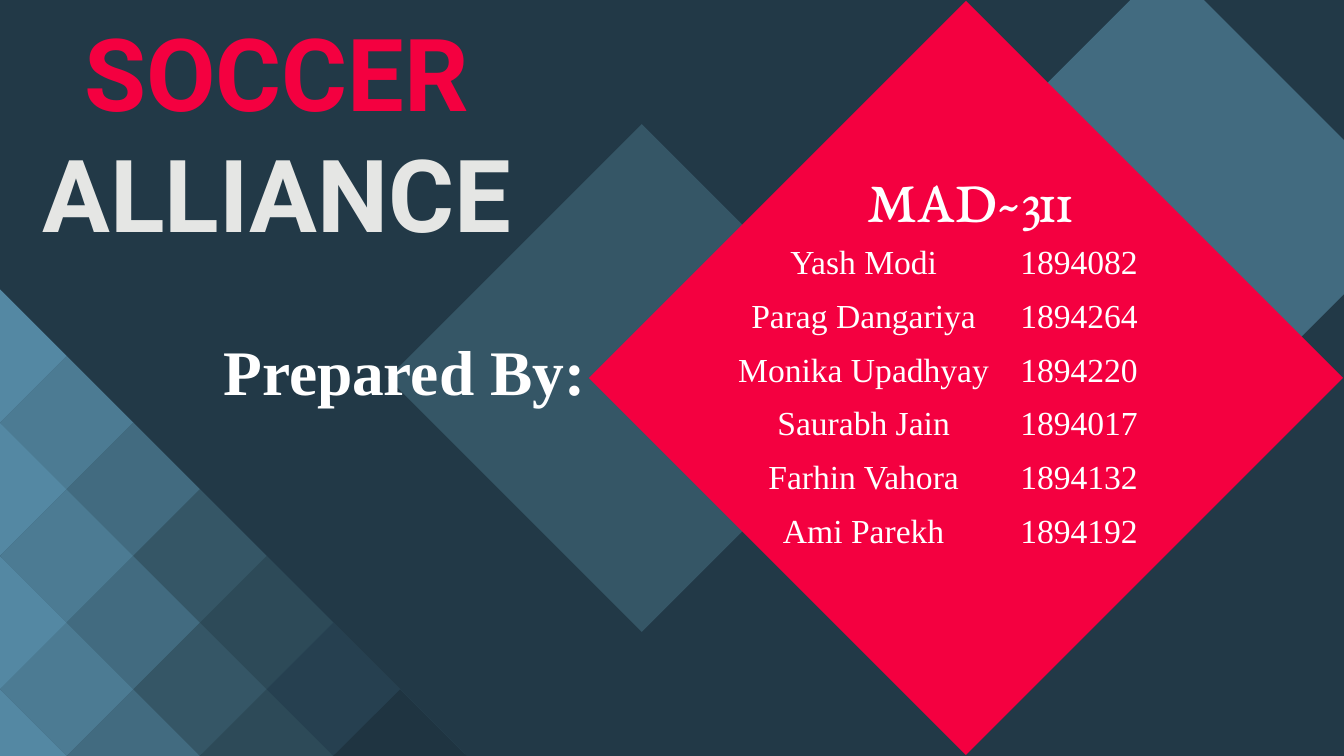
from pptx import Presentation
from pptx.dml.color import RGBColor
from pptx.enum.shapes import MSO_SHAPE
from pptx.enum.text import MSO_ANCHOR, PP_ALIGN
from pptx.oxml.ns import qn
from pptx.util import Pt

NAVY = RGBColor(0x22, 0x39, 0x47)
TEAL = RGBColor(0x42, 0x6B, 0x80)
SLATE = RGBColor(0x35, 0x56, 0x66)
RED = RGBColor(0xF4, 0x00, 0x40)
PALE = RGBColor(0xE5, 0xE6, 0xE4)
WHITE = RGBColor(0xFF, 0xFF, 0xFF)
# Mosaic colours from the left edge to the right
MOSAIC = [
    RGBColor(0x54, 0x88, 0xA3), RGBColor(0x4C, 0x7B, 0x93), TEAL, SLATE,
    RGBColor(0x2D, 0x4A, 0x58), RGBColor(0x26, 0x40, 0x50),
    RGBColor(0x1F, 0x34, 0x41),
]
SERIF = "Times New Roman"
NO_GRID_STYLE = "{2D5ABB26-0587-4C30-8999-92F81FD0307C}"

MEMBERS = [
    ("Yash Modi", "1894082"),
    ("Parag Dangariya", "1894264"),
    ("Monika Upadhyay", "1894220"),
    ("Saurabh Jain", "1894017"),
    ("Farhin Vahora", "1894132"),
    ("Ami Parekh", "1894192"),
]


def add_centered(slide, kind, center_x, center_y, width, height, color, rotation=0):
    shape = slide.shapes.add_shape(
        kind, Pt(center_x - width / 2), Pt(center_y - height / 2), Pt(width), Pt(height))
    shape.rotation = rotation
    shape.shadow.inherit = False
    shape.fill.solid()
    shape.fill.fore_color.rgb = color
    shape.line.fill.background()


def style_run(run, size, font_name, color, bold=False):
    run.font.size = Pt(size)
    run.font.name = font_name
    run.font.bold = bold
    run.font.color.rgb = color


def add_text(slide, left, top, width, height, parts, size, font_name, anchor, bold=False):
    text_frame = slide.shapes.add_textbox(Pt(left), Pt(top), Pt(width), Pt(height)).text_frame
    text_frame.word_wrap = True
    text_frame.vertical_anchor = anchor
    text_frame.margin_left = text_frame.margin_right = Pt(7.2)
    text_frame.margin_top = text_frame.margin_bottom = Pt(7.2)
    paragraph = text_frame.paragraphs[0]
    paragraph.alignment = PP_ALIGN.CENTER
    for text, color in parts:
        run = paragraph.add_run()
        run.text = text
        style_run(run, size, font_name, color, bold)


def add_large_diamonds(slide):
    for center_x, center_y, size, color in [
        (625.3, 116.3, 272, TEAL),
        (343.8, 202.5, 272, SLATE),
        (517.5, 202.5, 404, RED),
    ]:
        add_centered(slide, MSO_SHAPE.DIAMOND, center_x, center_y, size, size, color)


def add_mosaic(slide, left, bottom, size):
    """Fill a right triangle with diamonds, cut to half along its two edges."""
    last = len(MOSAIC) - 1
    half = size / (last + 1)
    # Backing triangle
    add_centered(slide, MSO_SHAPE.RIGHT_TRIANGLE, left + size / 2, bottom - size / 2,
                 size - 2, size - 2, SLATE)
    for column, color in enumerate(MOSAIC):
        for level in range(column % 2, last - column + 1, 2):
            x, y = left + column * half, bottom - level * half
            if column == 0 and level == 0:
                add_centered(slide, MSO_SHAPE.RIGHT_TRIANGLE, x + half / 2, y - half / 2,
                             half, half, color)
            elif column == 0:
                add_centered(slide, MSO_SHAPE.ISOSCELES_TRIANGLE, x + half / 2, y,
                             2 * half, half, color, 90)
            elif level == 0:
                add_centered(slide, MSO_SHAPE.ISOSCELES_TRIANGLE, x, y - half / 2,
                             2 * half, half, color)
            else:
                add_centered(slide, MSO_SHAPE.DIAMOND, x, y, 2 * half, 2 * half, color)


def add_member_table(slide, left, top, width, height):
    table = slide.shapes.add_table(
        len(MEMBERS), 2, Pt(left), Pt(top), Pt(width), Pt(height)).table
    table.first_row = table.horz_banding = False
    table._tbl.tblPr.find(qn("a:tableStyleId")).text = NO_GRID_STYLE
    table.columns[0].width = Pt(153.4)
    table.columns[1].width = Pt(width - 153.4)
    for row, member in zip(table.rows, MEMBERS):
        row.height = Pt(height / len(MEMBERS))
        for cell, text, alignment in zip(row.cells, member, (PP_ALIGN.CENTER, PP_ALIGN.LEFT)):
            cell.fill.background()
            cell.text_frame.text = text
            paragraph = cell.text_frame.paragraphs[0]
            paragraph.alignment = alignment
            style_run(paragraph.runs[0], 18, SERIF, WHITE)


def main():
    presentation = Presentation()
    presentation.slide_width, presentation.slide_height = Pt(720), Pt(405)
    slide = presentation.slides.add_slide(presentation.slide_layouts[6])
    slide.background.fill.solid()
    slide.background.fill.fore_color.rgb = NAVY

    # Backdrop
    add_large_diamonds(slide)
    add_mosaic(slide, 0, 405, 250)

    # Title and caption
    add_text(slide, -28.8, 0, 354.2, 142.6, [("SOCCER ", RED), ("ALLIANCE", PALE)],
             54, "Roboto", MSO_ANCHOR.BOTTOM, bold=True)
    add_text(slide, 94.3, 180.7, 244.8, 45.4, [("Prepared By:", WHITE)],
             34, SERIF, MSO_ANCHOR.BOTTOM, bold=True)

    # Team list with its heading
    add_member_table(slide, 386, 127.4, 321, 172)
    add_text(slide, 386, 80, 267.8, 41, [("MAD~311", WHITE)],
             32, "EB Garamond", MSO_ANCHOR.TOP)

    presentation.save("out.pptx")


if __name__ == "__main__":
    main()
